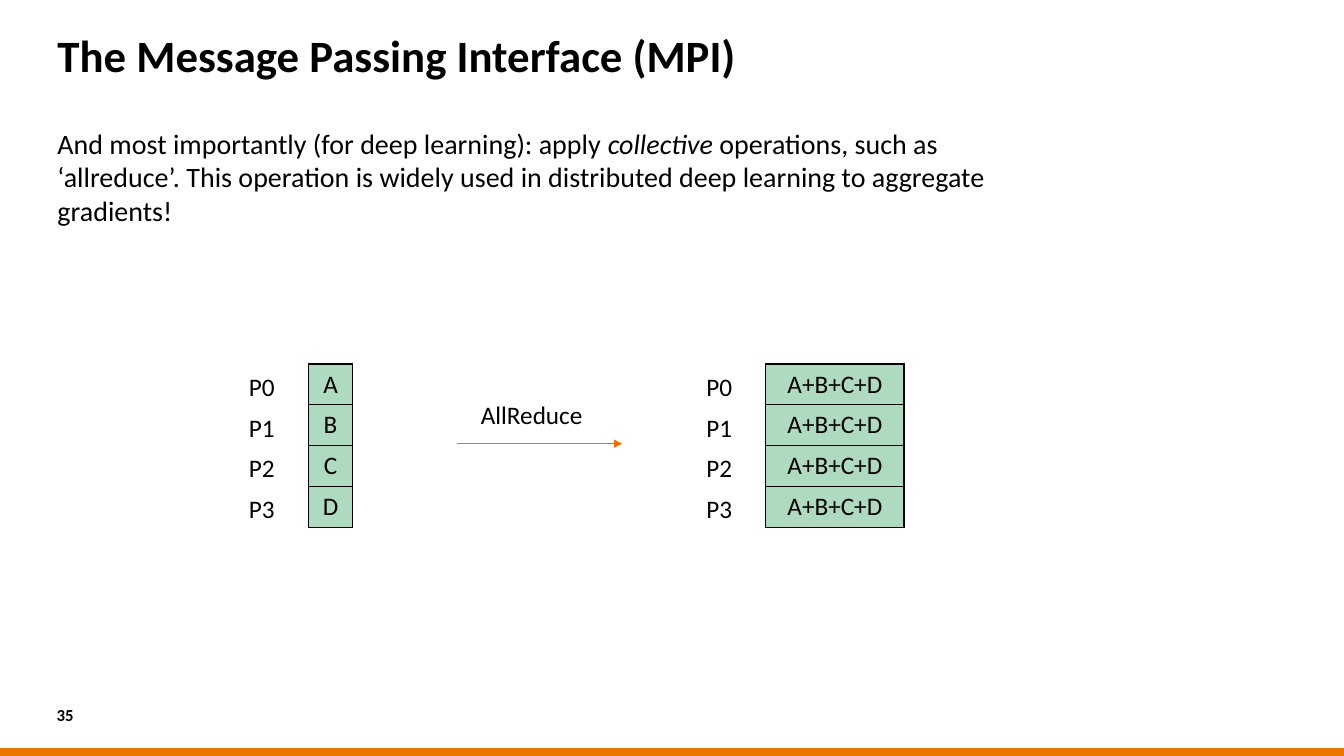
from lxml import etree
from pptx import Presentation
from pptx import util as u
from pptx.dml.color import RGBColor
from pptx.enum import shapes, text
from pptx.oxml.ns import qn

COLORS = {"ink": "000000", "accent": "EA7600", "cell": "AEDBC0"}
FONT = "Calibri"
ROW_H = 1.03


def rgb(name):
    return RGBColor.from_string(COLORS[name])


def style_run(r, size, bold=False, italic=False):
    r.font.name = FONT
    r.font.size = u.Pt(size)
    r.font.bold = bold
    r.font.italic = italic
    r.font.color.rgb = rgb("ink")


def add_text(s, box, parts, size, bold=False, wrap=True, insets=(0, 0, 0, 0)):
    tf = s.shapes.add_textbox(*map(u.Cm, box)).text_frame
    tf.word_wrap = wrap
    if not wrap:
        tf.auto_size = text.MSO_AUTO_SIZE.SHAPE_TO_FIT_TEXT
    tf.margin_left, tf.margin_top, tf.margin_right, tf.margin_bottom = map(u.Cm, insets)
    p = tf.paragraphs[0]
    for content, italic in parts:
        r = p.add_run()
        r.text = content
        style_run(r, size, bold, italic)
    return tf


def add_label(s, box, content):
    add_text(s, box, [(content, False)], 18, wrap=False, insets=(0.25, 0.13, 0.25, 0.13))


def add_border(cell):
    tc_pr = cell._tc.get_or_add_tcPr()
    for i, side in enumerate(("lnL", "lnR", "lnT", "lnB")):
        ln = etree.Element(qn(f"a:{side}"), w=str(u.Pt(1)))
        fill = etree.SubElement(ln, qn("a:solidFill"))
        etree.SubElement(fill, qn("a:srgbClr"), val=COLORS["ink"])
        tc_pr.insert(i, ln)


def add_process_table(s, box, values):
    left, top, width, height = box
    table = s.shapes.add_table(len(values), 1, *map(u.Cm, box)).table
    table.first_row = False
    table.horz_banding = False
    for i, value in enumerate(values):
        table.rows[i].height = u.Cm(height / len(values))
        cell = table.cell(i, 0)
        cell.margin_left = cell.margin_right = cell.margin_bottom = 0
        cell.margin_top = u.Cm(0.13)
        cell.fill.solid()
        cell.fill.fore_color.rgb = rgb("cell")
        add_border(cell)
        p = cell.text_frame.paragraphs[0]
        p.text = value
        p.alignment = text.PP_ALIGN.CENTER
        style_run(p.runs[0], 18)
        add_label(s, (left - 1.75, top + 0.05 + i * ROW_H, 1.3, 1.02), f"P{i}")


def add_arrow(s, box, caption):
    left, top, width, height = box
    y = top + height
    line = s.shapes.add_connector(
        shapes.MSO_CONNECTOR.STRAIGHT, *map(u.Cm, (left, y, left + width, y)))
    line.line.color.rgb = rgb("accent")
    line.line.width = u.Pt(0.5)
    etree.SubElement(line.line._get_or_add_ln(), qn("a:tailEnd"), type="triangle")
    etree.SubElement(line._element.spPr, qn("a:effectLst"))
    add_label(s, (left + 0.36, top, 3.43, 1.02), caption)


def add_allreduce(s, box):
    left, top, width, height = box
    add_process_table(s, (left + 1.75, top, 1.12, height), list("ABCD"))
    add_arrow(s, (left + 5.49, top + 0.76, 4.17, 1.25), "AllReduce")
    result_w = 3.48
    add_process_table(s, (left + width - result_w, top, result_w, height), ["A+B+C+D"] * 4)


def add_heading(s, box):
    tf = add_text(s, box, [("The Message Passing Interface (MPI)", False)], 32,
                  bold=True, insets=(0, 0.2, 0, 0))
    tf.paragraphs[0].line_spacing = 0.8


def add_body(s, box):
    parts = [
        ("And most importantly (for deep learning): apply ", False),
        ("collective", True),
        (" operations, such as ‘allreduce’. This operation is widely used in "
         "distributed deep learning to aggregate gradients!", False),
    ]
    p = add_text(s, box, parts, 20).paragraphs[0]
    p.space_before = p.space_after = u.Pt(6)


def add_footer(s, box):
    left, top, width, height = box
    bar_h = 0.2
    bar = s.shapes.add_shape(
        shapes.MSO_SHAPE.RECTANGLE,
        *map(u.Cm, (left, top + height - bar_h, width, bar_h)))
    bar.shadow.inherit = False
    bar.fill.solid()
    bar.fill.fore_color.rgb = rgb("accent")
    bar.line.fill.background()
    tf = add_text(s, (left + 1.43, top, 1.1, 0.6), [("35", False)], 12, bold=True)
    tf.vertical_anchor = text.MSO_ANCHOR.MIDDLE


def main():
    prs = Presentation()
    prs.slide_width, prs.slide_height = u.Cm(33.87), u.Cm(19.05)
    s = prs.slides.add_slide(prs.slide_layouts[6])
    add_footer(s, (0, 17.71, 33.87, 1.34))
    add_heading(s, (1.45, 0.76, 30.96, 1.68))
    add_body(s, (1.45, 3.18, 24.92, 13.08))
    add_allreduce(s, (6.02, 9.17, 16.76, 4 * ROW_H))
    prs.save("out.pptx")


if __name__ == "__main__":
    main()
